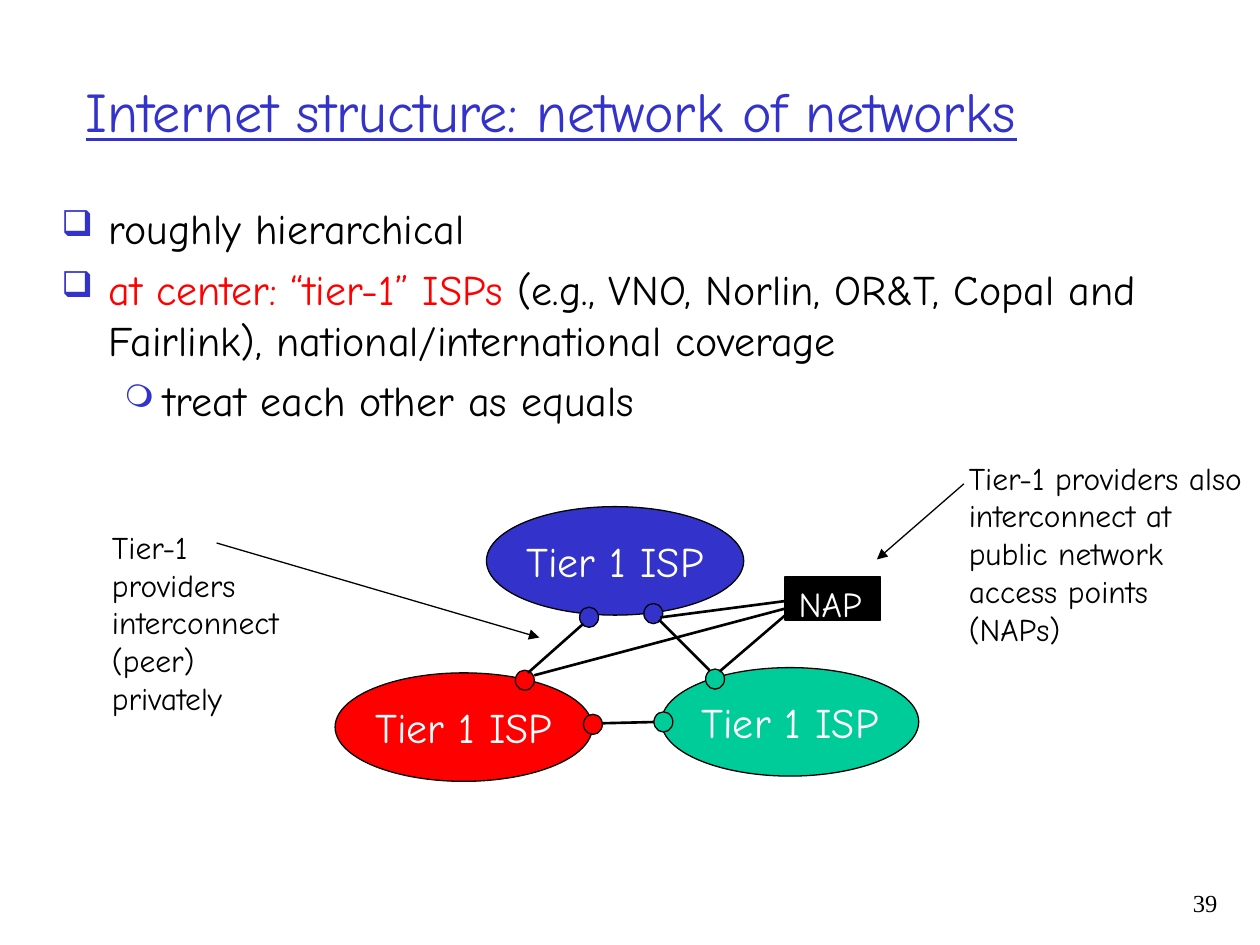
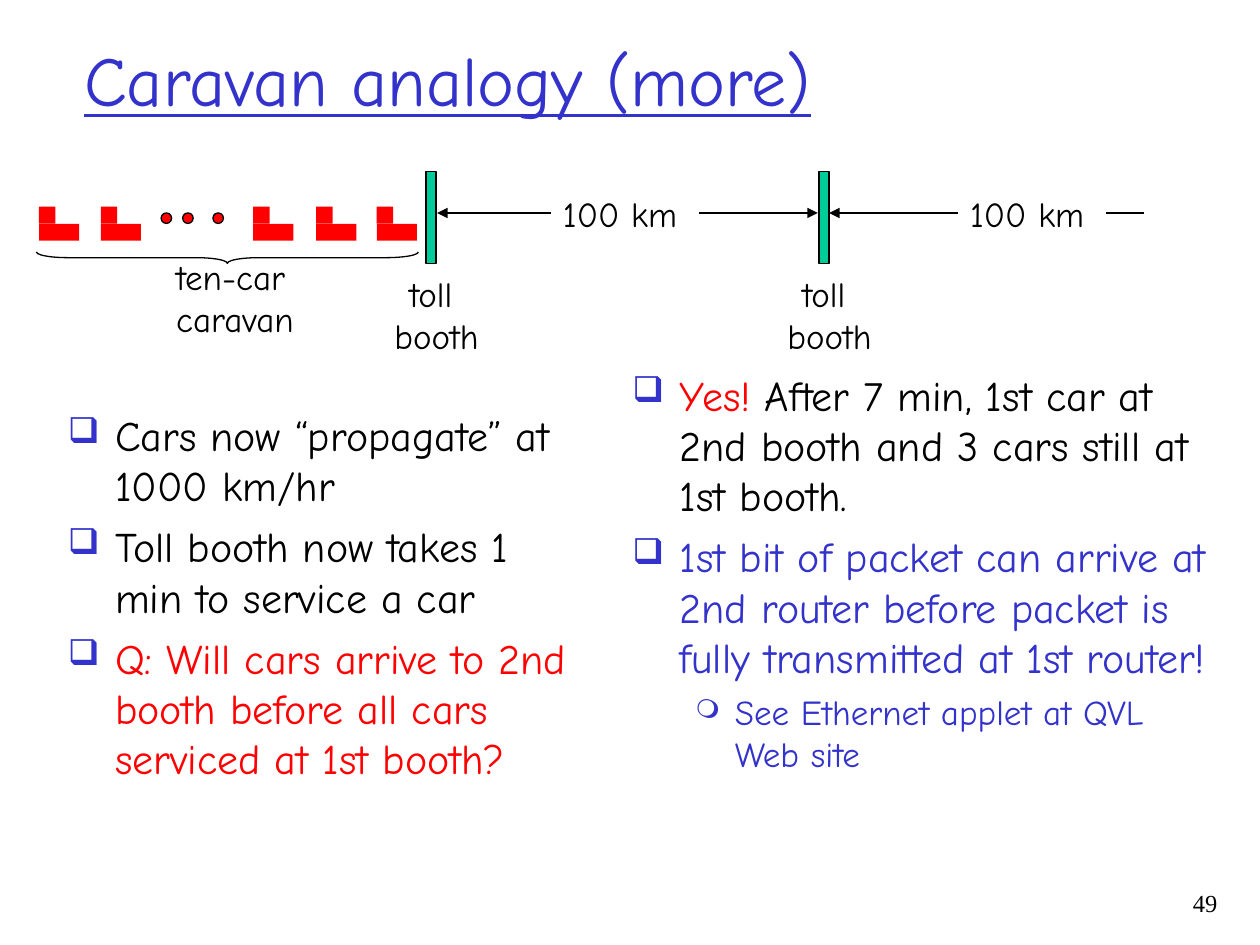
from pptx import Presentation
from pptx.dml.color import RGBColor
from pptx.enum.shapes import MSO_CONNECTOR, MSO_SHAPE as SHAPE
from pptx.enum.text import MSO_ANCHOR as ANCHOR, MSO_AUTO_SIZE as FIT, PP_ALIGN as ALIGN
from pptx.oxml.ns import qn
from pptx.oxml.xmlchemy import OxmlElement
from pptx.util import Pt

COLORS = {"blue": "3333CC", "red": "FF0000", "green": "00CC99",
          "black": "000000", "white": "FFFFFF"}
FONT, NUMBER_FONT = "Comic Neue", "Times New Roman"

# Bullet levels: symbol, size in percent, left margin, hanging indent
LEVELS = [("❑", 85, 27, -27), ("❍", 75, 58.5, -22.5)]


def rgb(name):
    return RGBColor.from_string(COLORS[name])


def xml_child(parent, tag, **attributes):
    child = OxmlElement(tag)
    for key, value in attributes.items():
        child.set(key, str(value))
    parent.append(child)
    return child


# Shared building parts

def style_runs(paragraph, size, color, font=FONT, underline=None):
    for run in paragraph.runs:
        run.font.name, run.font.size = font, Pt(size)
        run.font.color.rgb = rgb(color)
        run.font.underline = underline


def label(slide, box, text, size, color="black", align=ALIGN.LEFT, wrap=True,
          fit=FIT.NONE, anchor=ANCHOR.TOP, font=FONT, underline=None):
    frame = slide.shapes.add_textbox(*map(Pt, box)).text_frame
    frame.text = text
    frame.word_wrap, frame.auto_size, frame.vertical_anchor = wrap, fit, anchor
    for paragraph in frame.paragraphs:
        paragraph.alignment = align
        style_runs(paragraph, size, color, font, underline)


def block(slide, kind, box, fill, outlined=True):
    shape = slide.shapes.add_shape(kind, *map(Pt, box))
    shape.shadow.inherit = False
    if fill:
        shape.fill.solid()
        shape.fill.fore_color.rgb = rgb(fill)
    else:
        shape.fill.background()
    if outlined:
        shape.line.color.rgb = rgb("black")
        shape.line.width = Pt(0.75)
    else:
        shape.line.fill.background()
    return shape


def line(slide, origin, start, end, width=0.75, arrow=False):
    left, top = origin
    connector = slide.shapes.add_connector(
        MSO_CONNECTOR.STRAIGHT, Pt(left + start[0]), Pt(top + start[1]),
        Pt(left + end[0]), Pt(top + end[1]))
    connector.line.color.rgb = rgb("black")
    connector.line.width = Pt(width)
    properties = connector.element.spPr
    if arrow:
        xml_child(properties.find(qn("a:ln")), "a:tailEnd", type="triangle")
    xml_child(properties, "a:effectLst")


def title(slide, box, text, size):
    label(slide, box, text, size, "blue", anchor=ANCHOR.MIDDLE, underline=True)


def page_number(slide, number):
    label(slide, (653.8, 504, 49, 36), str(number), 14,
          align=ALIGN.RIGHT, font=NUMBER_FONT)


def bullets(slide, box, items):
    """Each item is (level, size, [(text, color), ...])."""
    frame = slide.shapes.add_textbox(*map(Pt, box)).text_frame
    frame.word_wrap = True
    for index, (level, size, pieces) in enumerate(items):
        paragraph = frame.add_paragraph() if index else frame.paragraphs[0]
        paragraph.level = level
        symbol, percent, margin, indent = LEVELS[level]
        properties = paragraph._p.get_or_add_pPr()
        properties.set("marL", str(Pt(margin)))
        properties.set("indent", str(Pt(indent)))
        xml_child(xml_child(properties, "a:buClr"), "a:srgbClr", val=COLORS["blue"])
        xml_child(properties, "a:buSzPct", val=percent * 1000)
        xml_child(properties, "a:buChar", char=symbol)
        if index:
            paragraph.space_before = Pt(size / 4)
        paragraph.text = "".join(text for text, _ in pieces[:1])
        style_runs(paragraph, size, pieces[0][1])
        for text, color in pieces[1:]:
            run = paragraph.add_run()
            run.text = text
            run.font.name, run.font.size = FONT, Pt(size)
            run.font.color.rgb = rgb(color)


# Internet structure

def isp_network(slide, origin):
    left, top = origin
    # Providers
    for x, y, color in [(0, 95, "red"), (86.5, 0, "blue"), (186.5, 92, "green")]:
        isp = block(slide, SHAPE.OVAL, (left + x, top + y, 147, 62), color)
        frame = isp.text_frame
        frame.text = "Tier 1 ISP"
        frame.word_wrap, frame.vertical_anchor = False, ANCHOR.MIDDLE
        frame.paragraphs[0].alignment = ALIGN.CENTER
        style_runs(frame.paragraphs[0], 24, "white")
    # Peering points
    for x, y, color in [(211.7, 92.8, "green"), (176.4, 55.4, "blue"),
                        (139.7, 57.5, "blue"), (103, 93.5, "red"),
                        (141.9, 118.7, "red"), (182.2, 117.3, "green")]:
        block(slide, SHAPE.OVAL, (left + x, top + y, 10.8, 11.5), color)
    # Private links
    for start, end in [((152.7, 123.8), (182.2, 123.1)),
                       ((185.1, 64.7), (213.9, 93.5)),
                       ((110.2, 95), (141.9, 66.9))]:
        line(slide, origin, start, end, 1.5)


def access_point(slide, origin):
    left, top = origin
    block(slide, SHAPE.RECTANGLE, (left, top, 54.7, 24.5), "black")
    label(slide, (left + 0.7, top - 0.7, 50.4, 31.7), "NAP", 20, "white",
          wrap=False, fit=FIT.SHAPE_TO_FIT_TEXT)
    for start, end in [((2.1, 20.1), (-37.5, 54)),
                       ((0, 13.7), (-71.3, 23)),
                       ((0, 18), (-143.3, 56.1))]:
        line(slide, origin, start, end, 1.5)


def note(slide, box, text, start, tip):
    label(slide, box, text, 18, fit=FIT.SHAPE_TO_FIT_TEXT)
    line(slide, box[:2], start, tip, arrow=True)


def structure_slide(slide):
    title(slide, (41.8, 18, 637, 90), "Internet structure: network of networks", 32)
    bullets(slide, (28, 112.3, 664.5, 365.8), [
        (0, 24, [("roughly hierarchical", "black")]),
        (0, 24, [("at center: “tier-1” ISPs ", "red"),
                 ("(e.g., VNO, Norlin, OR&T, Copal and Fairlink), "
                  "national/international coverage", "black")]),
        (1, 24, [("treat each other as equals", "black")])])
    isp_network(slide, (191.5, 289.5))
    note(slide, (56.9, 298.1, 123, 115.2),
         "Tier-1 providers interconnect (peer) privately", (66.9, 12.2), (251.3, 66.2))
    access_point(slide, (448.6, 329.8))
    note(slide, (546.5, 258.5, 173.5, 115.2),
         "Tier-1 providers also interconnect at public network access points (NAPs)",
         (4.3, 18), (-45.4, 61.2))
    page_number(slide, 39)


# Caravan analogy

def toll_booth(slide, left, top):
    block(slide, SHAPE.RECTANGLE, (left, top, 5.8, 52.6), "green")
    label(slide, (left - 25.2, top + 54, 62.6, 55.4), "toll \nbooth", 20,
          align=ALIGN.CENTER, wrap=False, fit=FIT.SHAPE_TO_FIT_TEXT)


def caravan(slide, left, top):
    # Cars: body and cab
    for x in (0, 35.3, 122.4, 158.4, 193):
        block(slide, SHAPE.RECTANGLE, (left + x, top + 9.8, 23, 9.6), "red", False)
        block(slide, SHAPE.RECTANGLE, (left + x, top, 9.4, 9.8), "red", False)
    # Cars left out
    for x in (69.8, 82.1, 99.4):
        block(slide, SHAPE.OVAL, (left + x, top + 3.6, 6, 6), "red")
    # Brace and its label
    brace = block(slide, SHAPE.LEFT_BRACE, (left + 104.4, top - 80, 6.5, 218.2), None)
    brace.adjustments[0] = 2.78
    brace.rotation = 270
    label(slide, (left + 71.3, top + 24.4, 83.5, 55.4), "ten-car\ncaravan", 20,
          wrap=False, fit=FIT.SHAPE_TO_FIT_TEXT)


def distance(slide, left, middle, left_tip, right_tip, right_arrow):
    width = 85
    line(slide, (left, middle), (0, 0), (left_tip, 0), arrow=True)
    line(slide, (left, middle), (width, 0), (right_tip, 0), arrow=right_arrow)
    label(slide, (left, middle - 15.1, width, 31.7), "100 km", 20,
          fit=FIT.SHAPE_TO_FIT_TEXT)


def road(slide, left, top):
    for booth in (445.7, 221.1):
        toll_booth(slide, left + booth, top)
    caravan(slide, left, top + 20.2)
    distance(slide, left + 292.3, top + 23.8, -64.8, 152.7, True)
    distance(slide, left + 524.9, top + 23.8, -73.4, 106.6, False)


def caravan_slide(slide):
    title(slide, (41, 0, 612, 90), "Caravan analogy (more)", 40)
    bullets(slide, (31.7, 230.4, 310.3, 261.4), [
        (0, 24, [("Cars now “propagate” at \v1000 km/hr", "black")]),
        (0, 24, [("Toll booth now takes 1 min to service a car", "black")]),
        (0, 24, [("Q: Will cars arrive to 2nd booth before all cars "
                  "serviced at 1st booth?", "red")])])
    bullets(slide, (354.3, 207.4, 344.2, 265), [
        (0, 24, [("Yes!", "red"),
                 (" After 7 min, 1st car at 2nd booth and 3 cars still at 1st booth.",
                  "black")]),
        (0, 24, [("1st bit of packet can arrive at 2nd router before packet is "
                  "fully transmitted at 1st router!", "blue")]),
        (1, 20, [("See Ethernet applet at QVL Web site", "blue")])])
    road(slide, 22.3, 97.9)
    page_number(slide, 49)


def main():
    deck = Presentation()
    deck.slide_width, deck.slide_height = Pt(720), Pt(540)
    for build in (structure_slide, caravan_slide):
        build(deck.slides.add_slide(deck.slide_layouts[6]))
    deck.save("out.pptx")


if __name__ == "__main__":
    main()
